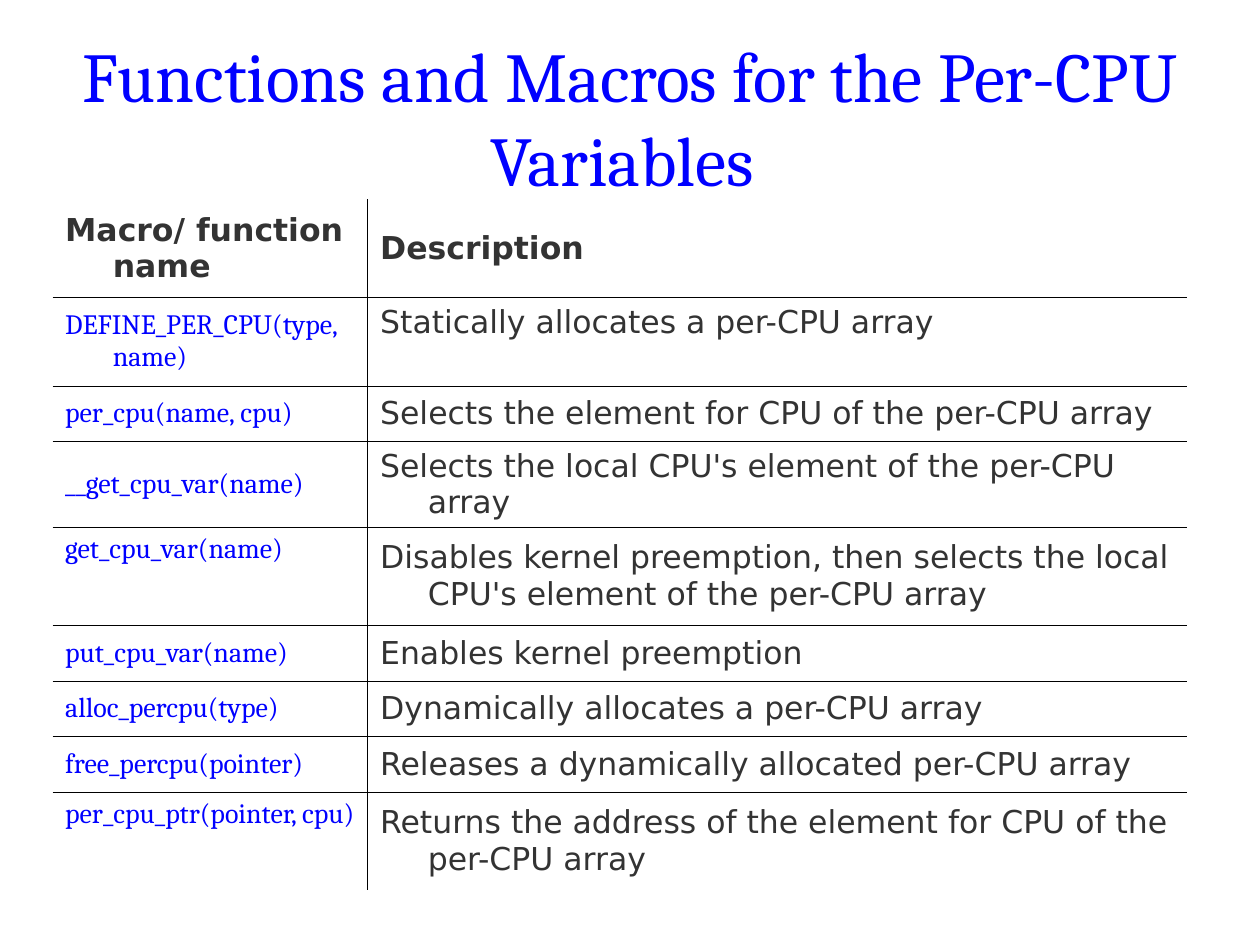
from lxml.etree import SubElement
from pptx import Presentation
from pptx.dml.color import RGBColor
from pptx.enum.text import MSO_ANCHOR, MSO_AUTO_SIZE, PP_ALIGN
from pptx.oxml.ns import qn
from pptx.util import Cm, Pt

# Name, description, row height in cm, anchors of the two cells
TOP, MID = MSO_ANCHOR.TOP, MSO_ANCHOR.MIDDLE
TALL, MEDIUM, LOW = 1.98, 1.78, 1.12
ROWS = [
    ("Macro/ function name", "Description", TALL, MID, MID),
    ("DEFINE_PER_CPU(type, name)", "Statically allocates a per-CPU array", MEDIUM, MID, TOP),
    ("per_cpu(name, cpu)", "Selects the element for CPU of the per-CPU array", LOW, MID, MID),
    ("__get_cpu_var(name)", "Selects the local CPU's element of the per-CPU array", LOW, MID, MID),
    ("get_cpu_var(name)", "Disables kernel preemption, then selects the local "
     "CPU's element of the per-CPU array", TALL, TOP, MID),
    ("put_cpu_var(name)", "Enables kernel preemption", LOW, MID, MID),
    ("alloc_percpu(type)", "Dynamically allocates a per-CPU array", LOW, MID, MID),
    ("free_percpu(pointer)", "Releases a dynamically allocated per-CPU array", LOW, MID, MID),
    ("per_cpu_ptr(pointer, cpu)", "Returns the address of the element for CPU of the "
     "per-CPU array", TALL, TOP, MID),
]


def color(hex_value):
    return RGBColor.from_string(hex_value)


class Deck:
    SERIF, SANS = "Cambria", "DejaVu Sans"
    BLUE, GRAY, BLACK = "0000FF", "333333", "000000"
    RULE = Pt(0.45)
    HANGING = Cm(0.96)

    def __init__(self, prs):
        self.s = prs.slides.add_slide(prs.slide_layouts[5])

    def style(self, p, name, size, hex_value, bold=False):
        font = p.font
        font.name, font.size, font.bold = name, Pt(size), bold
        font.color.rgb = color(hex_value)

    def title(self, text, left, top, width, height):
        sp = self.s.shapes.title
        sp.left, sp.top, sp.width, sp.height = Cm(left), Cm(top), Cm(width), Cm(height)
        tf = sp.text_frame
        tf.text = text
        tf.word_wrap = True
        tf.auto_size = MSO_AUTO_SIZE.NONE
        tf.vertical_anchor = MID
        p = tf.paragraphs[0]
        p.alignment = PP_ALIGN.CENTER
        self.style(p, self.SERIF, 40, self.BLUE)

    def borders(self, cell, visible):
        """Rule the sides named in visible and clear the others."""
        tc_pr = cell._tc.get_or_add_tcPr()
        for side in "LRTB":
            ln = SubElement(tc_pr, qn(f"a:ln{side}"), w=str(self.RULE))
            if side in visible:
                fill = SubElement(ln, qn("a:solidFill"))
                SubElement(fill, qn("a:srgbClr"), val=self.BLACK)
            else:
                SubElement(ln, qn("a:noFill"))

    def cell(self, cell, text, anchor, visible, *font):
        cell.text = text
        cell.vertical_anchor = anchor
        p = cell.text_frame.paragraphs[0]
        p_pr = p._p.get_or_add_pPr()
        p_pr.set("marL", str(self.HANGING))
        p_pr.set("indent", str(-self.HANGING))
        self.style(p, *font)
        self.borders(cell, visible)
        cell.fill.background()

    def table(self, rows, left, top, widths):
        height = sum(row[2] for row in rows)
        table = self.s.shapes.add_table(len(rows), len(widths), Cm(left), Cm(top),
                                        Cm(sum(widths)), Cm(height)).table
        table.first_row = table.horz_banding = False
        for column, width in zip(table.columns, widths):
            column.width = Cm(width)
        header = (self.SANS, 18, self.GRAY, True)
        code = (self.SERIF, 16, self.BLUE)
        body = (self.SANS, 18, self.GRAY)
        for i, (name, description, row_height, *anchors) in enumerate(rows):
            table.rows[i].height = Cm(row_height)
            # Only inner rules: none above the first row or below the last
            inner = ("T" if i > 0 else "") + ("B" if i < len(rows) - 1 else "")
            fonts = (code, body) if i else (header, header)
            self.cell(table.cell(i, 0), name, anchors[0], inner + "R", *fonts[0])
            self.cell(table.cell(i, 1), description, anchors[1], inner + "L", *fonts[1])


def main():
    prs = Presentation()
    prs.slide_width, prs.slide_height = Cm(25.4), Cm(19.05)
    deck = Deck(prs)
    deck.title("Functions and Macros for the Per-CPU Variables ", 1.27, 0.76, 22.86, 3.18)
    deck.table(ROWS, 1.06, 4.02, (6.35, 16.51))
    prs.save("out.pptx")


if __name__ == "__main__":
    main()
